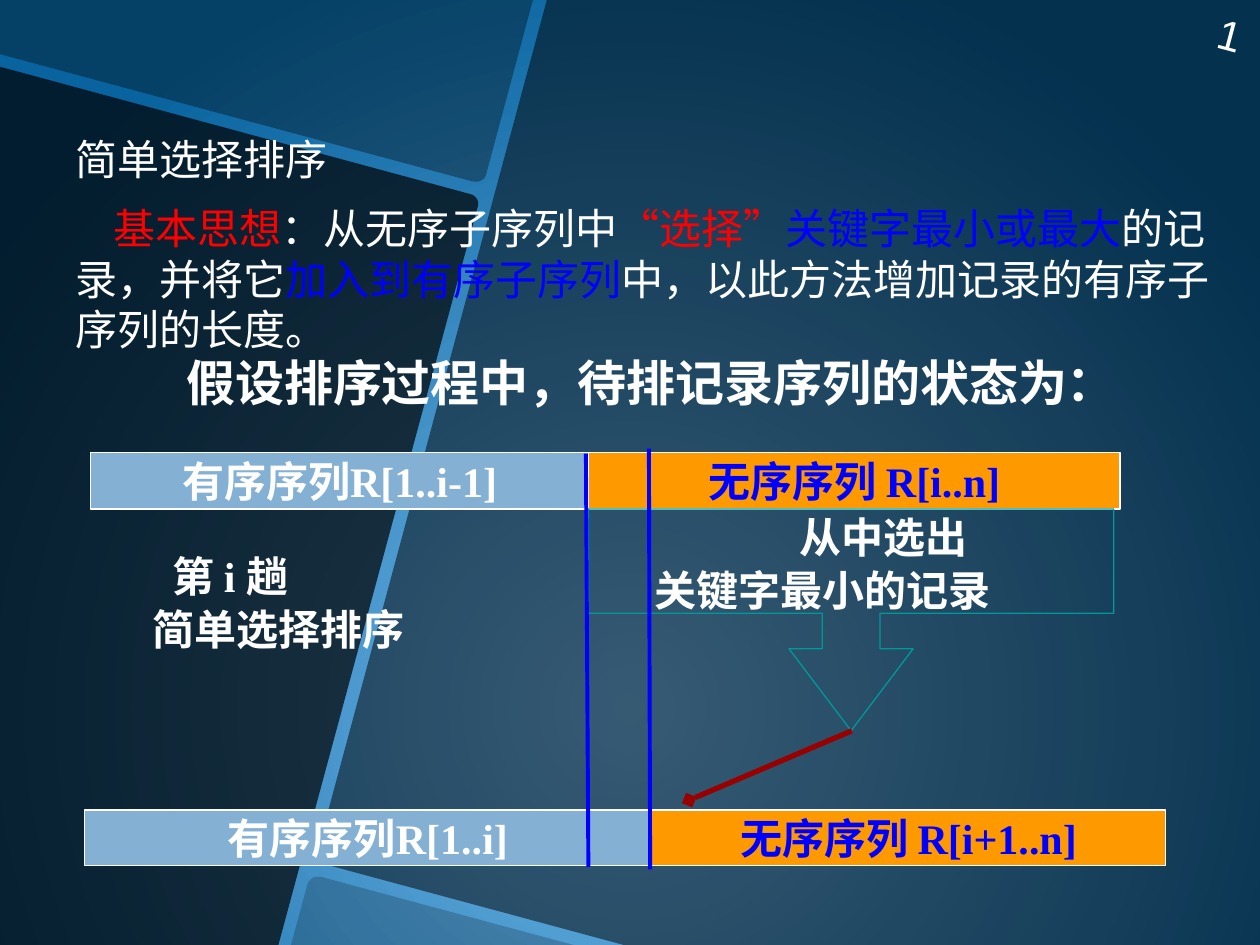
from dataclasses import dataclass

from pptx import Presentation
from pptx.dml.color import RGBColor
from pptx.enum.shapes import MSO_CONNECTOR as Connector, MSO_SHAPE as Shape
from pptx.enum.text import MSO_ANCHOR as Anchor, MSO_AUTO_SIZE as AutoSize, PP_ALIGN as Align
from pptx.oxml import parse_xml
from pptx.oxml.ns import nsdecls, qn
from pptx.util import Inches, Pt


@dataclass(frozen=True)
class Theme:
    white: str = "FFFFFF"
    black: str = "000000"
    red: str = "FF0000"
    blue: str = "0000FF"
    sorted_fill: str = "83B0D3"
    unsorted_fill: str = "FF9900"
    callout: str = "009999"
    pointer: str = "990000"
    glow: str = "70B6E8"
    edge: str = "08639E"
    body_font: str = "TeX Gyre Bonum"
    number_font: str = "Arial"
    label_font: str = "Times New Roman"
    cjk_font: str = "Noto Sans CJK SC"
    size: int = 24
    lead_size: int = 28


def element(tag, attributes=""):
    return parse_xml(f"<a:{tag} {nsdecls('a')} {attributes}/>")


def curve(start, first, second, end, steps=8):
    points = []
    for step in range(steps + 1):
        t = step / steps
        weights = ((1 - t) ** 3, 3 * t * (1 - t) ** 2, 3 * t**2 * (1 - t), t**3)
        points.append(tuple(
            sum(weight * point[axis] for weight, point in zip(weights, (start, first, second, end)))
            for axis in (0, 1)
        ))
    return points


def write(para, text, *, font, color, size, bold=False):
    span = para.add_run()
    span.text = text
    span.font.name = font
    span.font.size = Pt(size)
    span.font.bold = bold
    span.font.color.rgb = RGBColor.from_string(color)


class SlideBuilder:
    def __init__(self, page, theme):
        self.page = page
        self.theme = theme

    def background(self):
        fill = self.page.background.fill
        fill.gradient()
        for stop, color in zip(fill.gradient_stops, (self.theme.glow, self.theme.edge)):
            stop.color.rgb = RGBColor.from_string(color)
        gradient = self.page._element.find(".//" + qn("a:gradFill"))
        circle = element("path", 'path="circle"')
        circle.append(element("fillToRect", 'l="50000" t="50000" r="50000" b="0"'))
        gradient.replace(gradient.find(qn("a:lin")), circle)

    def panel(self, points, opacity):
        builder = self.page.shapes.build_freeform(*map(Inches, points[0]), scale=1)
        builder.add_line_segments([tuple(map(Inches, point)) for point in points[1:]], close=True)
        shape = builder.convert_to_shape()
        shape.shadow.inherit = False
        shape.line.fill.background()
        shape.fill.solid()
        shape.fill.fore_color.rgb = RGBColor.from_string(self.theme.black)
        color = shape._element.spPr.find(".//" + qn("a:srgbClr"))
        color.append(element("alpha", f'val="{opacity * 1000}"'))

    def body(self, bounds, paragraphs):
        self.page.shapes._spTree.remove(self.page.shapes.title._element)
        box = self.page.placeholders[1]
        self.page.shapes._spTree.append(box._element)
        box.left, box.top, box.width, box.height = map(Inches, bounds)
        frame = box.text_frame
        frame.auto_size = AutoSize.NONE
        frame.vertical_anchor = Anchor.MIDDLE
        for index, (indent, spans) in enumerate(paragraphs):
            para = frame.add_paragraph() if index else frame.paragraphs[0]
            properties = para._p.get_or_add_pPr()
            properties.set("marL", "0")
            properties.set("indent", str(Inches(indent)))
            properties.append(element("buNone"))
            para.space_before = Pt(4.8 if index else 0)
            para.space_after = Pt(6)
            for text, color in spans:
                write(para, text, font=self.theme.body_font, color=color, size=self.theme.size)

    def text(self, bounds, lines, *, wrap=True, spacing=1.0, anchor=Anchor.TOP, rotation=0, **style):
        box = self.page.shapes.add_textbox(*map(Inches, bounds))
        box.rotation = rotation
        frame = box.text_frame
        frame.word_wrap = wrap
        frame.vertical_anchor = anchor
        style = {"font": self.theme.label_font, "color": self.theme.white,
                 "size": self.theme.size, "bold": True} | style
        for index, (text, align, indent) in enumerate(lines):
            para = frame.add_paragraph() if index else frame.paragraphs[0]
            para.alignment = align
            para.line_spacing = spacing
            if indent:
                para._p.get_or_add_pPr().set("indent", str(Inches(indent)))
            write(para, text, **style)

    def bar(self, bounds, spans, fill, color):
        shape = self.page.shapes.add_shape(Shape.RECTANGLE, *map(Inches, bounds))
        shape.shadow.inherit = False
        shape.fill.solid()
        shape.fill.fore_color.rgb = RGBColor.from_string(fill)
        shape.line.color.rgb = RGBColor.from_string(self.theme.white)
        shape.line.width = Pt(0.75)
        frame = shape.text_frame
        frame.word_wrap = False
        frame.vertical_anchor = Anchor.MIDDLE
        para = frame.paragraphs[0]
        para.alignment = Align.CENTER
        for text, font in spans:
            write(para, text, font=font, color=color, size=self.theme.size, bold=True)

    def callout(self, bounds, adjustments):
        shape = self.page.shapes.add_shape(Shape.DOWN_ARROW_CALLOUT, *map(Inches, bounds))
        shape.shadow.inherit = False
        shape.fill.background()
        shape.line.color.rgb = RGBColor.from_string(self.theme.callout)
        shape.line.width = Pt(0.75)
        for index, value in enumerate(adjustments):
            shape.adjustments[index] = value

    def line(self, start, end, color, width, tail=None):
        connector = self.page.shapes.add_connector(
            Connector.STRAIGHT, *map(Inches, start), *map(Inches, end))
        connector.line.color.rgb = RGBColor.from_string(color)
        connector.line.width = Pt(width)
        if tail:
            connector.line._get_or_add_ln().append(element("tailEnd", f'type="{tail}"'))
        connector._element.spPr.append(element("effectLst"))


def main():
    theme = Theme()
    deck = Presentation()
    deck.slide_width, deck.slide_height = Inches(10), Inches(7.5)
    slide = SlideBuilder(deck.slides.add_slide(deck.slide_layouts[1]), theme)

    slide.background()
    slide.panel([(0, 0.53), *curve((3.73, 1.54), (3.78, 1.55), (3.81, 1.6), (3.79, 1.65)),
                 (2.21, 7.5), (0, 7.5)], 70)
    slide.panel([(0, 0), (4.23, 0), *curve((3.86, 1.38), (3.85, 1.43), (3.8, 1.45), (3.75, 1.44)),
                 (0, 0.43)], 35)
    slide.panel([*curve((2.44, 7.02), (2.45, 6.99), (2.48, 6.96), (2.51, 6.96)),
                 (2.55, 6.96), (4.55, 7.5), (2.31, 7.5)], 20)
    slide.panel([(4.34, 0), (10, 0), (10, 7.5), (4.95, 7.5),
                 *curve((2.58, 6.86), (2.53, 6.85), (2.51, 6.8), (2.52, 6.75))], 50)

    slide.body((0.5, 0.44, 9.23, 2.99), [
        (0, [("简单选择排序", theme.white)]),
        (0.3, [("基本思想", theme.red), ("：从无序子序列中", theme.white), ("“选择”", theme.red),
               ("关键字最小或最大", theme.blue), ("的记录，并将它", theme.white),
               ("加入到有序子序列", theme.blue),
               ("中，以此方法增加记录的有序子序列的长度。", theme.white)]),
    ])
    slide.text((7.49, -0.2, 2.5, 0.4), [("1", Align.RIGHT, 0)], anchor=Anchor.MIDDLE,
               rotation=15, font=theme.number_font, bold=False)
    slide.text((1.38, 2.75, 7.62, 0.57), [("假设排序过程中，待排记录序列的状态为：", Align.LEFT, 0)],
               wrap=False, size=theme.lead_size)

    label, cjk = theme.label_font, theme.cjk_font
    sorted_colors = (theme.sorted_fill, theme.white)
    unsorted_colors = (theme.unsorted_fill, theme.blue)
    slide.bar((0.72, 3.59, 3.95, 0.45), [("有序序列R[1..i-1]", label)], *sorted_colors)
    slide.bar((4.67, 3.59, 4.22, 0.45), [("无序序列 R[i..n]", label)], *unsorted_colors)
    slide.text((1.11, 4.3, 3.39, 0.94),
               [("第 i 趟", Align.LEFT, 0.16), ("简单选择排序", Align.LEFT, 0)], spacing=1.05)
    slide.text((5.1, 3.99, 3.83, 0.94),
               [("从中选出", Align.CENTER, 0), ("关键字最小的记录", Align.LEFT, 0)], spacing=1.05)
    slide.callout((4.67, 4.04, 4.17, 1.76), (0.26, 0.28, 0.37, 0.47))
    slide.bar((0.67, 6.43, 4.5, 0.44), [("有序序列", cjk), ("R[1..i]", label)], *sorted_colors)
    slide.bar((5.17, 6.43, 4.08, 0.44), [("无序序列 ", cjk), ("R[i+1..n]", label)], *unsorted_colors)

    slide.line((6.76, 5.8), (5.47, 6.35), theme.pointer, 3, tail="diamond")
    slide.line((4.65, 3.6), (4.67, 6.88), theme.blue, 2.25)
    slide.line((5.15, 3.56), (5.16, 6.9), theme.blue, 2.25)
    deck.save("out.pptx")


if __name__ == "__main__":
    main()
